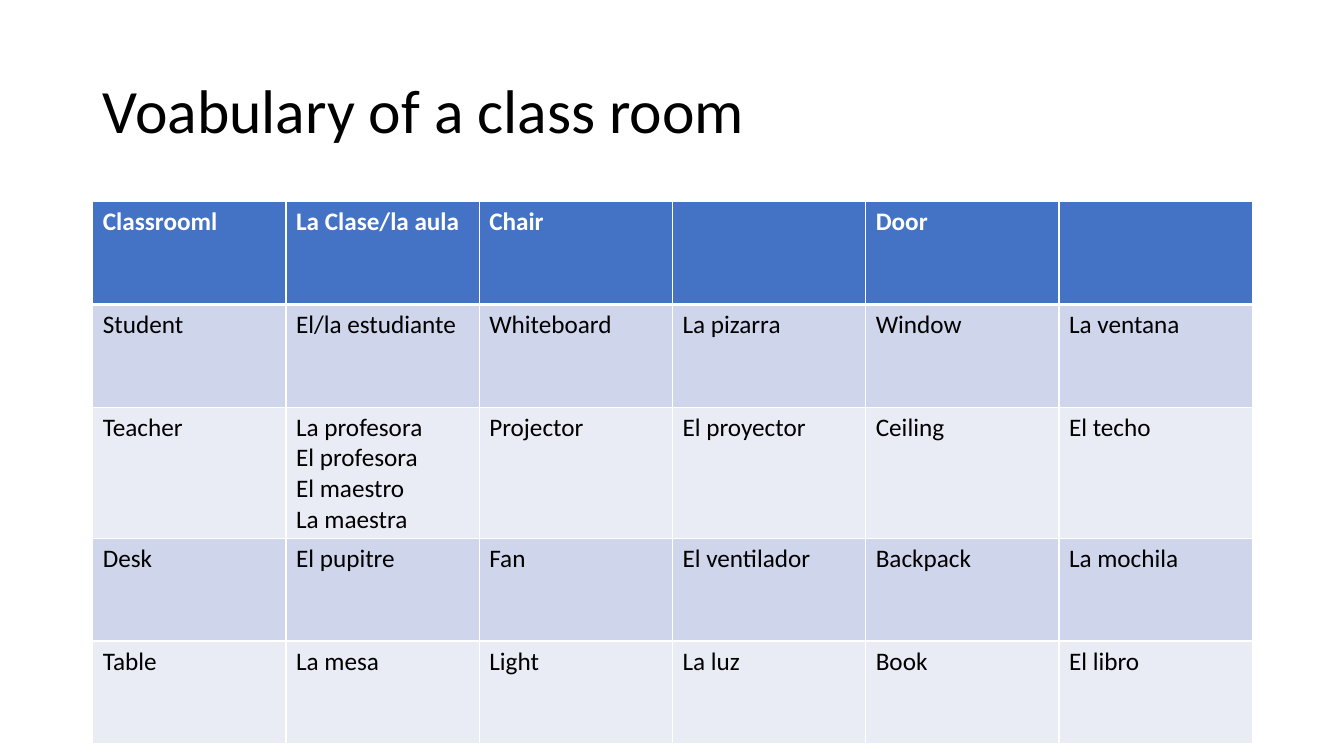
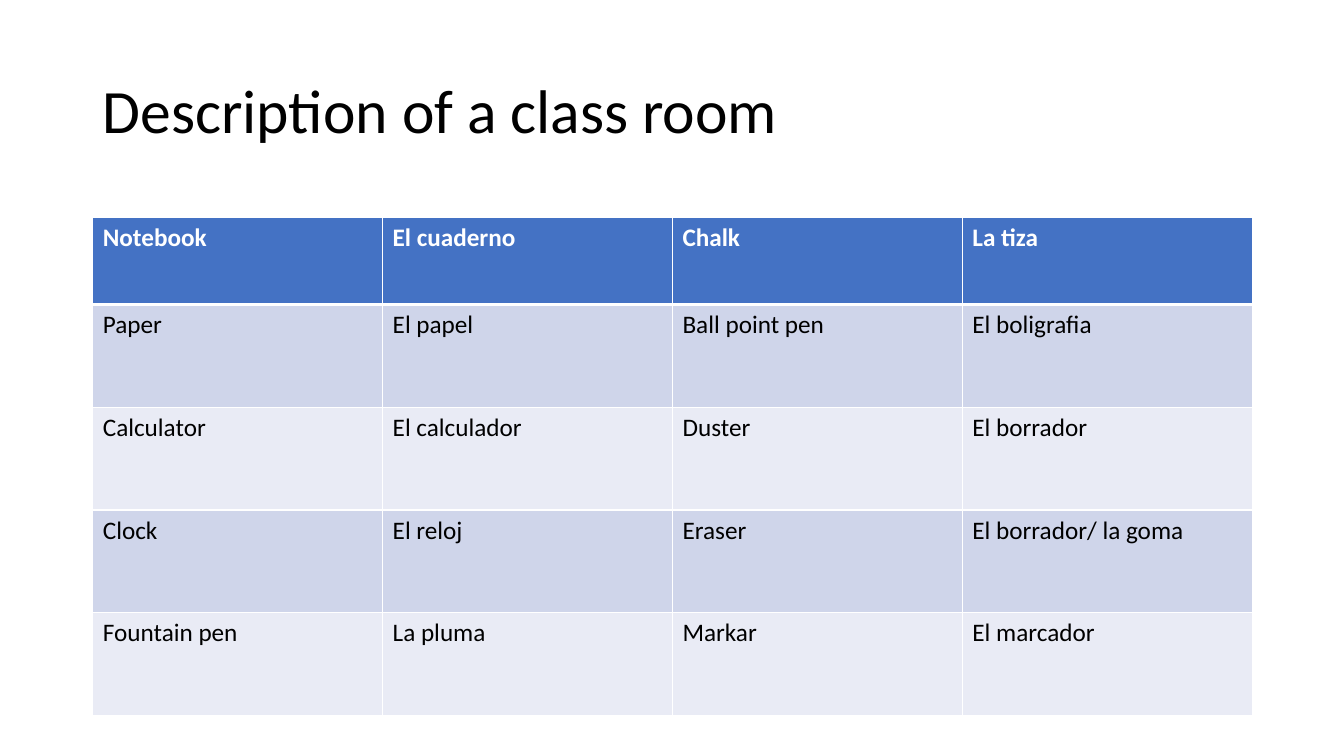
from lxml import etree
from pptx import Presentation
from pptx.dml.color import RGBColor
from pptx.enum.text import MSO_ANCHOR
from pptx.oxml.ns import qn
from pptx.util import Inches, Pt

MIDDLE = MSO_ANCHOR.MIDDLE
FONT = "Calibri"
COLORS = {
    "text": "000000",
    "header_text": "FFFFFF",
    "header": "4472C4",
    "band_dark": "CFD5EA",
    "band_light": "E9EBF5",
    "border": "FFFFFF",
}
LEFT, WIDTH = 0.92, 11.5
ROW_HEIGHT = 1.02

VOCABULARY = [
    ["Classrooml", "La Clase/la aula", "Chair", "", "Door", ""],
    ["Student", "El/la estudiante", "Whiteboard", "La pizarra", "Window", "La ventana"],
    ["Teacher", "La profesora\nEl profesora\nEl maestro\nLa maestra",
     "Projector", "El proyector", "Ceiling", "El techo"],
    ["Desk", "El pupitre", "Fan", "El ventilador", "Backpack", "La mochila"],
    ["Table", "La mesa", "Light", "La luz", "Book", "El libro"],
]
DESCRIPTION = [
    ["Notebook", "El cuaderno", "Chalk", "La tiza"],
    ["Paper", "El papel", "Ball point pen", "El boligrafia"],
    ["Calculator", "El calculador", "Duster", "El borrador"],
    ["Clock", "El reloj", "Eraser", "El borrador/ la goma"],
    ["Fountain pen", "La pluma", "Markar", "El marcador"],
]
LESSONS = [
    ("Voabulary of a class room", VOCABULARY, 2.0, 1.02),
    ("Description of a class room", DESCRIPTION, 2.16, 0.86),
]


def style_font(paragraph, size, color, bold=False):
    paragraph.font.name = FONT
    paragraph.font.size = Pt(size)
    paragraph.font.bold = bold
    paragraph.font.color.rgb = RGBColor.from_string(COLORS[color])


def add_borders(cell, top, bottom):
    properties = cell._tc.get_or_add_tcPr()
    for side, points in (("L", 1), ("R", 1), ("T", top), ("B", bottom)):
        line = etree.SubElement(properties, qn(f"a:ln{side}"), w=str(Pt(points)))
        fill = etree.SubElement(line, qn("a:solidFill"))
        etree.SubElement(fill, qn("a:srgbClr"), val=COLORS["border"])


prs = Presentation()
prs.slide_width = Inches(13.33)
prs.slide_height = Inches(7.5)
blank = prs.slide_layouts[6]

for heading, words, top, header_height in LESSONS:
    slide = prs.slides.add_slide(blank)

    title = slide.shapes.add_textbox(
        Inches(LEFT), Inches(0.4), Inches(WIDTH), Inches(1.45)).text_frame
    title.word_wrap = True
    title.vertical_anchor = MIDDLE
    title.text = heading
    title.paragraphs[0].line_spacing = 0.9
    style_font(title.paragraphs[0], 44, "text")

    column_count = len(words[0])
    table_height = header_height + ROW_HEIGHT * (len(words) - 1)
    table = slide.shapes.add_table(
        len(words), column_count,
        Inches(LEFT), Inches(top), Inches(WIDTH), Inches(table_height)).table

    for r, row in enumerate(words):
        is_header = r == 0
        table.rows[r].height = Inches(header_height if is_header else ROW_HEIGHT)
        band = "header" if is_header else "band_dark" if r % 2 else "band_light"
        for c, word in enumerate(row):
            cell = table.cell(r, c)
            add_borders(cell, top=3 if r == 1 else 1, bottom=3 if is_header else 1)
            cell.fill.solid()
            cell.fill.fore_color.rgb = RGBColor.from_string(COLORS[band])
            cell.text = word
            for paragraph in cell.text_frame.paragraphs:
                style_font(paragraph, 18, "header_text" if is_header else "text", is_header)

prs.save("out.pptx")
